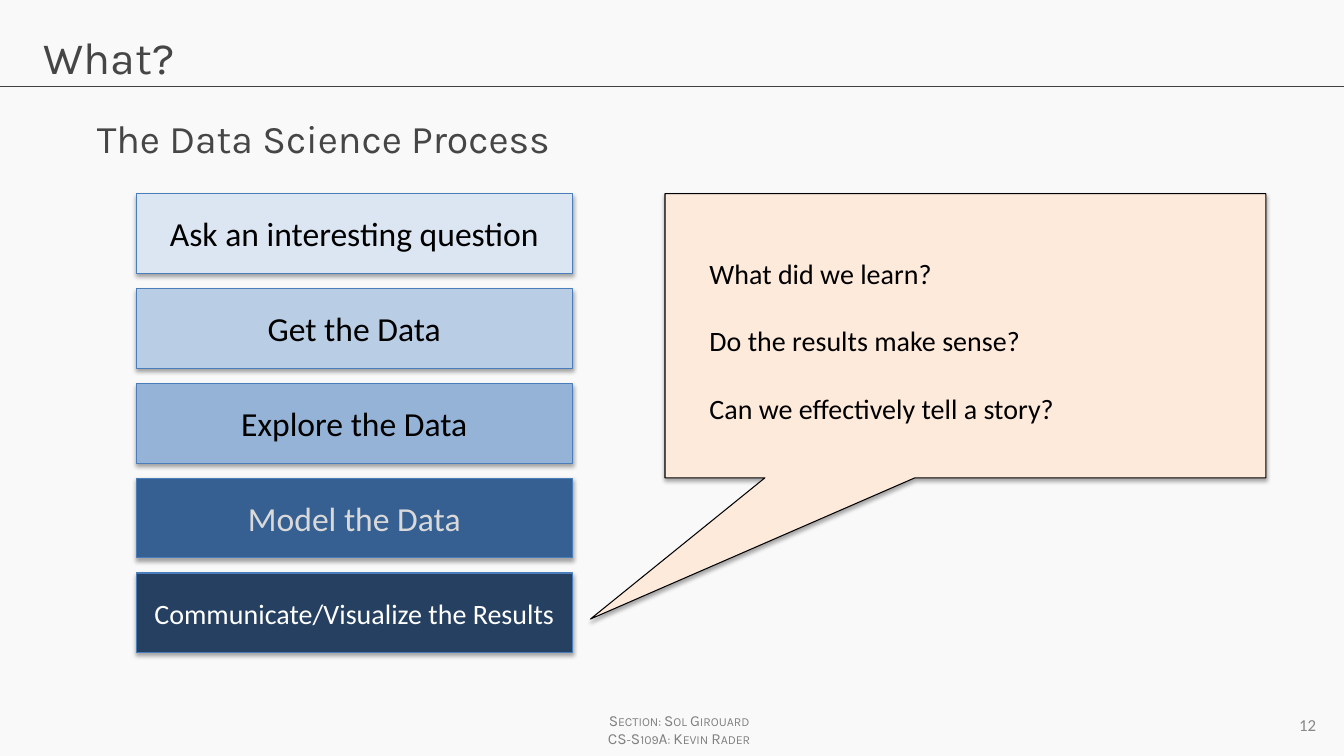
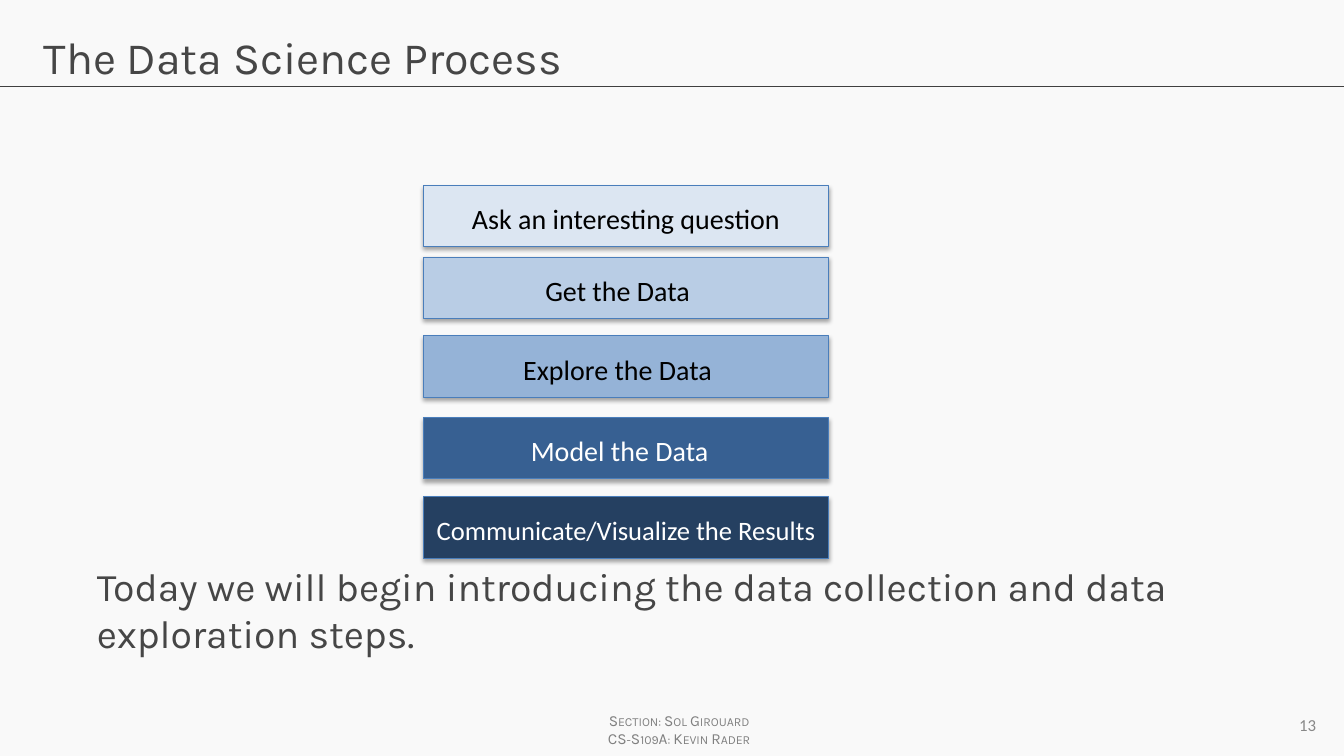
from dataclasses import dataclass

from lxml import etree
from pptx import Presentation
from pptx.dml.color import RGBColor
from pptx.enum.shapes import MSO_CONNECTOR, MSO_SHAPE
from pptx.enum.text import MSO_ANCHOR, PP_ALIGN
from pptx.oxml.ns import qn
from pptx.util import Cm, Pt

RECTANGLE = MSO_SHAPE.RECTANGLE
STRAIGHT = MSO_CONNECTOR.STRAIGHT
TOP, MIDDLE = MSO_ANCHOR.TOP, MSO_ANCHOR.MIDDLE
LEFT, CENTER, RIGHT = PP_ALIGN.LEFT, PP_ALIGN.CENTER, PP_ALIGN.RIGHT

PAPER = RGBColor(0xF9, 0xF9, 0xF9)
HEADING = RGBColor(0x46, 0x46, 0x46)
RULE = RGBColor(0x40, 0x40, 0x40)
FOOTER = RGBColor(0x80, 0x80, 0x80)
NUMBER = RGBColor(0x88, 0x88, 0x88)
BLACK = RGBColor(0x00, 0x00, 0x00)
WHITE = RGBColor(0xFF, 0xFF, 0xFF)
DIMMED = RGBColor(0xD9, 0xD9, 0xD9)
STEP_EDGE = RGBColor(0x4A, 0x7E, 0xBB)
PEACH = RGBColor(0xFD, 0xEA, 0xDA)

HEADING_FONT, BODY_FONT = "Karla", "Calibri"
SLIDE_WIDTH, SLIDE_HEIGHT = 33.87, 19.05
INSET = 0.13
EDGE_WIDTH = Pt(0.75)

# The five stages of the process, from light to dark
STEPS = (
    ("Ask an interesting question", RGBColor(0xDC, 0xE6, 0xF2)),
    ("Get the Data", RGBColor(0xB9, 0xCD, 0xE5)),
    ("Explore the Data", RGBColor(0x95, 0xB3, 0xD7)),
    ("Model the Data", RGBColor(0x37, 0x60, 0x92)),
    ("Communicate/Visualize the Results", RGBColor(0x25, 0x40, 0x61)),
)


@dataclass(frozen=True)
class Box:
    """A place on the slide, in centimetres."""
    left: float
    top: float
    width: float
    height: float

    def emu(self):
        return Cm(self.left), Cm(self.top), Cm(self.width), Cm(self.height)


@dataclass(frozen=True)
class TextStyle:
    size: float
    color: RGBColor
    font: str = BODY_FONT
    align: PP_ALIGN = LEFT
    anchor: MSO_ANCHOR = TOP
    line_spacing: float = 1.0


@dataclass(frozen=True)
class StepStack:
    """Layout of the stages on one slide, in centimetres and points."""
    left: float
    tops: tuple[float, ...]
    width: float
    height: float
    sizes: tuple[float, ...]
    label_colors: tuple[RGBColor, ...]
    left_shifts: tuple[float, ...] = (0, 0, 0, 0, 0)
    drop: float = 0


TITLE_STYLE = TextStyle(32, HEADING, HEADING_FONT)
LEAD_STYLE = TextStyle(28, HEADING, HEADING_FONT)
FOOTER_STYLE = TextStyle(11, FOOTER, HEADING_FONT, CENTER)
NUMBER_STYLE = TextStyle(12, NUMBER, align=RIGHT, anchor=MIDDLE)
QUESTION_STYLE = TextStyle(20, BLACK, line_spacing=2.0)


def write(shape, text: str, style: TextStyle) -> None:
    frame = shape.text_frame
    frame.text = text
    frame.word_wrap = True
    frame.vertical_anchor = style.anchor
    frame.margin_left = frame.margin_right = Cm(INSET)
    frame.margin_top = frame.margin_bottom = Cm(INSET)
    for paragraph in frame.paragraphs:
        paragraph.alignment = style.align
        paragraph.line_spacing = style.line_spacing
        for run in paragraph.runs:
            run.font.name = style.font
            run.font.size = Pt(style.size)
            run.font.color.rgb = style.color


def add_text(slide, box: Box, text: str, style: TextStyle):
    text_box = slide.shapes.add_textbox(*box.emu())
    write(text_box, text, style)
    return text_box


def paint(shape, fill: RGBColor, edge: RGBColor) -> None:
    """Fill and outline a shape and give it the soft shadow below."""
    shape.fill.solid()
    shape.fill.fore_color.rgb = fill
    shape.line.color.rgb = edge
    shape.line.width = EDGE_WIDTH
    shape.shadow.inherit = False
    effects = shape.element.spPr.find(qn("a:effectLst"))
    shadow = etree.SubElement(
        effects, qn("a:outerShdw"), blurRad=str(Pt(3)), dist=str(Pt(1.8)),
        dir="5400000", rotWithShape="0")
    black = etree.SubElement(shadow, qn("a:srgbClr"), val="000000")
    etree.SubElement(black, qn("a:alpha"), val="35000")


def add_slide(prs, title: str, number: int):
    slide = prs.slides.add_slide(prs.slide_layouts[5])
    heading = slide.shapes.title
    heading.left, heading.top, heading.width, heading.height = Box(
        0.97, 0.61, 31.93, 2.13).emu()
    write(heading, title, TITLE_STYLE)

    # Rule under the title
    rule = slide.shapes.add_connector(
        STRAIGHT, 0, Cm(2.19), Cm(SLIDE_WIDTH), Cm(2.19))
    rule.line.color.rgb = RULE
    rule.line.width = EDGE_WIDTH
    etree.SubElement(rule.element.spPr, qn("a:effectLst"))

    # Footer in small capitals, and slide number
    footer = add_text(slide, Box(14.83, 17.78, 4.57, 1.17),
                      "Section: Sol Girouard\nCS-S109A: Kevin Rader",
                      FOOTER_STYLE)
    for properties in footer.element.iter(qn("a:rPr")):
        properties.set("cap", "small")
    add_text(slide, Box(31.3, 17.93, 2, 0.69), str(number), NUMBER_STYLE)
    return slide


def add_steps(slide, stack: StepStack) -> None:
    for (label, fill), top, size, color, shift in zip(
            STEPS, stack.tops, stack.sizes, stack.label_colors,
            stack.left_shifts):
        step = slide.shapes.add_shape(
            RECTANGLE, *Box(stack.left, top, stack.width, stack.height).emu())
        paint(step, fill, STEP_EDGE)
        write(step, label, TextStyle(size, color, align=CENTER, anchor=MIDDLE))
        step.text_frame.margin_right = Cm(INSET + 2 * shift)
        step.text_frame.margin_top = Cm(INSET + 2 * stack.drop)


def add_callout(slide) -> None:
    """Draw the questions' speech bubble, pointing at the last stage."""
    left, top, right, bottom = 16.76, 4.88, 31.9, 12.04
    tail_left, tail_right = 19.28, 23.06
    tip = (14.88, 15.6)
    outline = ((right, top), (right, bottom), (tail_right, bottom), tip,
               (tail_left, bottom), (left, bottom))
    builder = slide.shapes.build_freeform(Cm(left), Cm(top))
    builder.add_line_segments([(Cm(x), Cm(y)) for x, y in outline], close=True)
    paint(builder.convert_to_shape(), PEACH, BLACK)
    add_text(slide, Box(17.75, 5.49, 14, 5.56),
             "What did we learn?\nDo the results make sense?\n"
             "Can we effectively tell a story?", QUESTION_STYLE)


def main() -> None:
    prs = Presentation()
    prs.slide_width, prs.slide_height = Cm(SLIDE_WIDTH), Cm(SLIDE_HEIGHT)
    background = prs.slide_master.background.fill
    background.solid()
    background.fore_color.rgb = PAPER

    # What the last stage asks
    what = add_slide(prs, "What?", 12)
    add_text(what, Box(2.31, 2.74, 13.23, 1.73),
             "The Data Science Process", LEAD_STYLE)
    add_steps(what, StepStack(
        left=3.43, tops=tuple(4.88 + 2.39 * i for i in range(len(STEPS))),
        width=11, height=2.01, sizes=(24, 24, 24, 24, 20),
        label_colors=(BLACK, BLACK, BLACK, DIMMED, WHITE)))
    add_callout(what)

    # The whole process and today's part of it
    process = add_slide(prs, "The Data Science Process", 13)
    add_text(process, Box(2.31, 14.04, 28.68, 2.8),
             "Today we will begin introducing the data collection and data "
             "exploration steps.", LEAD_STYLE)
    add_steps(process, StepStack(
        left=10.67, tops=(4.67, 6.48, 8.46, 10.52, 12.52),
        width=10.21, height=1.55, sizes=(20, 20, 20, 20, 19),
        label_colors=(BLACK, BLACK, BLACK, WHITE, WHITE),
        left_shifts=(0, 0.21, 0.21, 0.16, 0), drop=0.06))

    prs.save("out.pptx")


if __name__ == "__main__":
    main()
